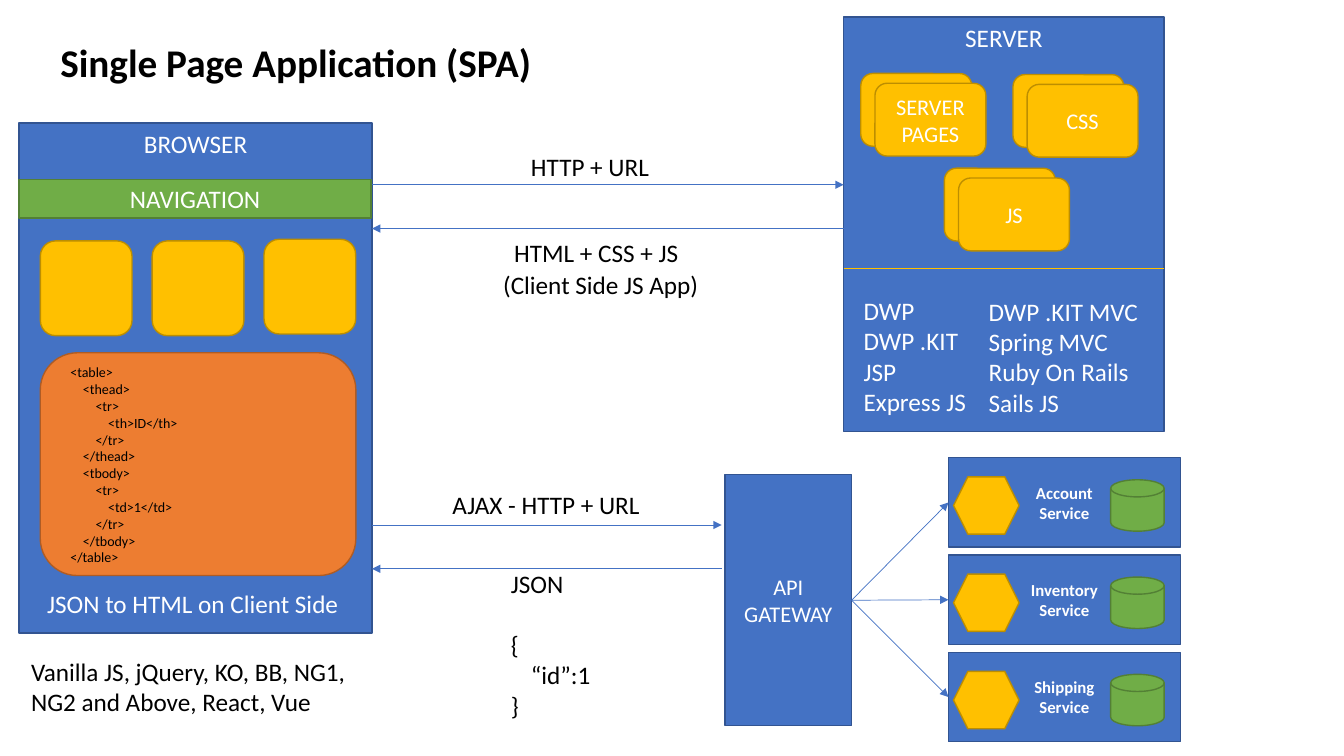
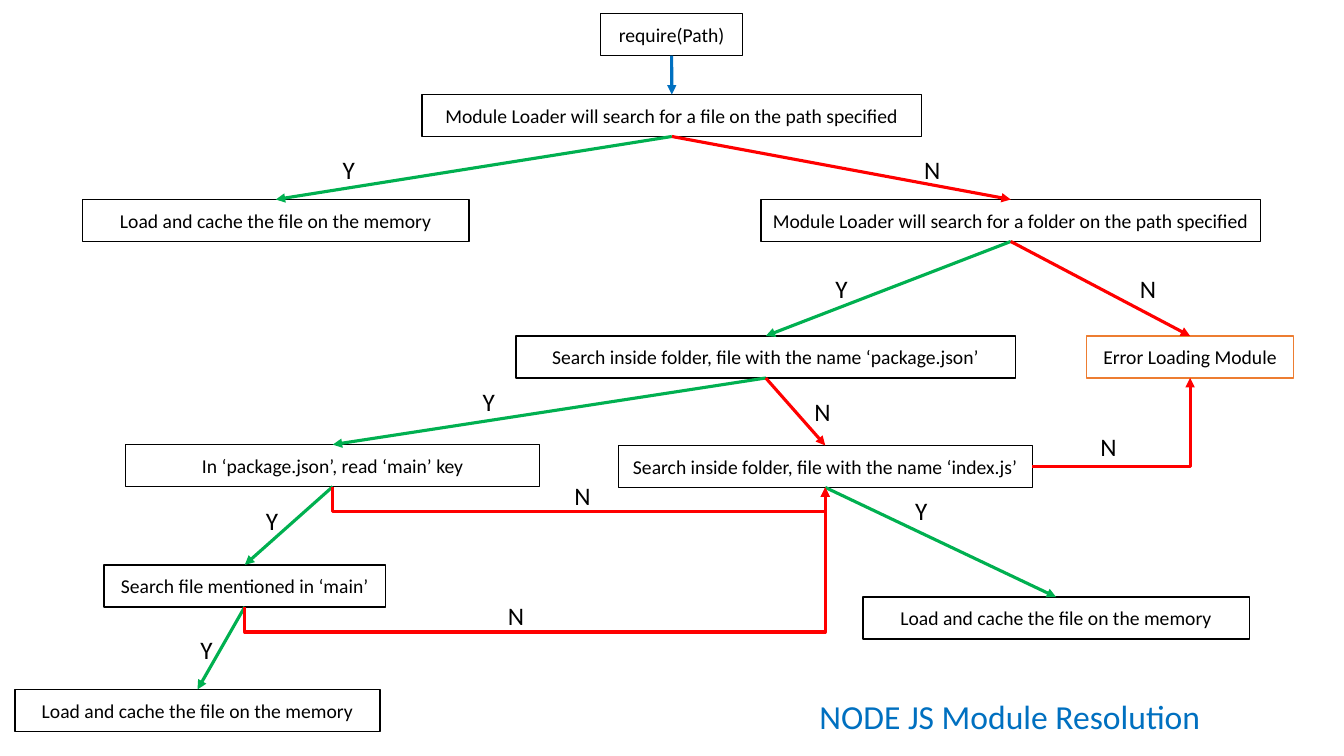
import pptx
import pptx.util
import pptx.dml.color
import pptx.enum.shapes
import pptx.enum.text
import pptx.oxml.ns
import lxml.etree

Pt = pptx.util.Pt
qn = pptx.oxml.ns.qn
RGB = pptx.dml.color.RGBColor.from_string
SHAPE = pptx.enum.shapes.MSO_SHAPE
CONNECTOR = pptx.enum.shapes.MSO_CONNECTOR
ALIGN = pptx.enum.text.PP_ALIGN
ANCHOR = pptx.enum.text.MSO_ANCHOR
FIT = pptx.enum.text.MSO_AUTO_SIZE.SHAPE_TO_FIT_TEXT
FONT = "Calibri"
COLORS = {
    "black": "000000", "white": "FFFFFF", "title": "0070C0",
    "blue": "4472C4", "blue edge": "325491",
    "gold": "FFC000", "gold edge": "BD8E00",
    "green": "70AD47", "green edge": "538035",
    "orange": "ED7D31", "orange edge": "AF5C24",
    "yes": "00B050", "no": "FF0000",
}


def put(slide, kind, box, text="", size=18, color="black", fill=None, edge=None,
        bold=False, align=None, anchor=ANCHOR.MIDDLE, wrap=True):
    lengths = [Pt(value) for value in box]
    if kind is None:
        item = slide.shapes.add_textbox(*lengths)
        item.text_frame.auto_size = FIT
    else:
        item = slide.shapes.add_shape(kind, *lengths)
        item.shadow.inherit = False
        item.fill.solid()
        item.fill.fore_color.rgb = RGB(COLORS[fill])
        item.line.color.rgb = RGB(COLORS[edge or fill + " edge"])
        item.line.width = Pt(1)
        item.text_frame.vertical_anchor = anchor
        align = ALIGN.CENTER
    item.text_frame.word_wrap = wrap
    if text:
        item.text_frame.text = text
        for paragraph in item.text_frame.paragraphs:
            paragraph.alignment = align
            paragraph.font.name = FONT
            paragraph.font.size = Pt(size)
            paragraph.font.bold = bold
            paragraph.font.color.rgb = RGB(COLORS[color])
    return item


def connect(slide, start, end, color="blue", width=0.5, head=True, kind=CONNECTOR.STRAIGHT):
    free = not isinstance(start[0], pptx.shapes.autoshape.Shape)
    ends = [Pt(value) for value in (*start, *end)] if free else [0, 0, 0, 0]
    link = slide.shapes.add_connector(kind, *ends)
    if not free:
        link.begin_connect(*start)
        link.end_connect(*end)
    link.line.color.rgb = RGB(COLORS[color])
    link.line.width = Pt(width)
    if head:
        lxml.etree.SubElement(link.line._get_or_add_ln(), qn("a:tailEnd"), type="triangle")
    lxml.etree.SubElement(link._element.spPr, qn("a:effectLst"))
    return link


deck = pptx.Presentation()
deck.slide_width, deck.slide_height = Pt(960), Pt(540)
blank = deck.slide_layouts[6]

spa = deck.slides.add_slide(blank)
put(spa, SHAPE.RECTANGLE, (602.6, 12.2, 229, 296), "SERVER",
    color="white", fill="blue", anchor=ANCHOR.TOP)
for left, top, asset in [(614.9, 52.5, "SERVER PAGES"), (723.6, 53.3, "CSS"), (674.6, 120.2, "JS")]:
    for shift_x, shift_y, label in [(0, 0, ""), (10.1, 7, asset)]:
        put(spa, SHAPE.ROUNDED_RECTANGLE, (left + shift_x, top + shift_y, 79.2, 52),
            label, 16, "white", "gold")
connect(spa, (602.6, 192), (831.6, 192), "gold", head=False)

put(spa, SHAPE.RECTANGLE, (13.7, 87.8, 252, 364.3), "BROWSER",
    color="white", fill="blue", anchor=ANCHOR.TOP)
for start, end in [((265.7, 132), (602.6, 132)), ((602.6, 163.3), (265.7, 163.3)),
                   ((265.7, 375), (515.5, 375)), ((515.5, 406.3), (265.7, 406.3))]:
    connect(spa, start, end)
put(spa, SHAPE.RECTANGLE, (13.7, 128.2, 251.3, 27.4), "NAVIGATION", color="white", fill="green")
for column, top in enumerate((172.1, 172.1, 170.9)):
    put(spa, SHAPE.ROUNDED_RECTANGLE, (28.8 + 79.9 * column, top, 65.5, 67.7), fill="gold")
put(spa, SHAPE.ROUNDED_RECTANGLE, (28.8, 252, 225.4, 159.1), fill="orange")
markup = """<table>
    <thead>
        <tr>
            <th>ID</th>
        </tr>
    </thead>
    <tbody>
        <tr>
            <td>1</td>
        </tr>
    </tbody>
</table>"""
put(spa, None, (43.2, 256.3, 175.7, 152.6), markup, 10)

for box, text, color, align in [
    ((26.6, 416.9, 225.4, 29), "JSON to HTML on Client Side", "white", None),
    ((15.1, 465.1, 241.9, 51), "Vanilla JS, jQuery, KO, BB, NG1,\nNG2 and Above, React, Vue", "black", None),
    ((372.2, 104.4, 100.1, 29), "HTTP + URL", "black", None),
    ((359.3, 165.9, 133.2, 29), "HTML + CSS + JS", "black", ALIGN.CENTER),
    ((337.7, 188.9, 182.9, 29), "(Client Side JS App)", "black", ALIGN.CENTER),
    ((316.1, 345.6, 149.8, 29), "AJAX - HTTP + URL", "black", None),
    ((609.8, 207.4, 88.6, 94.3), "DWP\nDWP .KIT\nJSP\nExpress JS", "white", None),
    ((699.1, 208.1, 128.2, 94.3), "DWP .KIT MVC\nSpring MVC\nRuby On Rails\nSails JS", "white", None),
]:
    put(spa, None, box, text, color=color, align=align, wrap=False)
payload = put(spa, None, (357.8, 402.5, 72, 116.6), "JSON\n{\n“id”:1\n}", wrap=False)
payload.text_frame.paragraphs[1].space_before = Pt(22)
payload.text_frame.paragraphs[2]._p.get_or_add_pPr().set("marL", str(Pt(14.4)))
put(spa, None, (36, 23.8, 366.5, 41), "Single Page Application (SPA)", 28, bold=True, wrap=False)

gateway = put(spa, SHAPE.RECTANGLE, (517.9, 339.1, 90.4, 179.3), "API GATEWAY", 16, "white", "blue")
for row, name in enumerate(("Account", "Inventory", "Shipping")):
    top = 326.9 + 69.5 * row
    service = put(spa, SHAPE.RECTANGLE, (677.5, top, 165.6, 64), name + "\nService",
                  12, "white", "blue", bold=True)
    put(spa, SHAPE.HEXAGON, (681.1, top + 13.7, 46.8, 41), fill="gold")
    put(spa, SHAPE.FLOWCHART_MAGNETIC_DISK, (793.4, top + 15.8, 38.2, 36.7), fill="green")
    connect(spa, (gateway, 3), (service, 1))

resolution = deck.slides.add_slide(blank)
cached = "Load and cache the file on the memory"
steps = {}
for key, left, top, width, text in [
    ("require", 429, 9.8, 101.5, "require(Path)"),
    ("file", 301.4, 67.5, 357, "Module Loader will search for a file on the path specified"),
    ("file cached", 59, 142.5, 276, cached),
    ("folder", 543.5, 142.5, 357, "Module Loader will search for a folder on the path specified"),
    ("error", 776.2, 240, 147.8, "Error Loading Module"),
    ("package", 368.5, 240, 357, "Search inside folder, file with the name ‘package.json’"),
    ("index", 441.6, 318.2, 295.8, "Search inside folder, file with the name ‘index.js’"),
    ("index cached", 616.4, 426.5, 276, cached),
    ("main key", 89.8, 317.6, 295.8, "In ‘package.json’, read ‘main’ key"),
    ("main file", 74.4, 403.5, 200.9, "Search file mentioned in ‘main’"),
    ("main cached", 10.8, 492.5, 260.6, cached),
]:
    steps[key] = put(resolution, SHAPE.RECTANGLE, (left, top, width, 30), text, 14, fill="white",
                     edge="orange" if key == "error" else "black")

connect(resolution, (steps["require"], 2), (steps["file"], 0), "title", 2.25)
for source, target, answer, left, top in [
    ("file", "file cached", "Y", 237.6, 106.6), ("file", "folder", "N", 653, 106.6),
    ("folder", "package", "Y", 589.7, 191.5), ("folder", "error", "N", 807.1, 191.5),
    ("package", "main key", "Y", 337.7, 272.2), ("package", "index", "N", 574.6, 279.4),
    ("index", "index cached", "Y", 646.6, 350.6), ("index", "error", "N", 779, 304.6),
    ("main key", "main file", "Y", 182.9, 357.1), ("main key", "index", "N", 403.2, 339.8),
    ("main file", "main cached", "Y", 136.1, 449.3), ("main file", "index", "N", 355.7, 425.5),
]:
    yes = answer == "Y"
    sideways = (source, target) == ("index", "error")
    looping = source.startswith("main") and target == "index"
    link = connect(resolution, (steps[source], 3 if sideways else 2),
                   (steps[target], 2 if sideways or looping else 0), "yes" if yes else "no", 2.25,
                   kind=CONNECTOR.ELBOW if sideways or looping else CONNECTOR.STRAIGHT)
    geometry = link._element.spPr.find(qn("a:prstGeom"))
    if sideways:
        geometry.set("prst", "bentConnector2")
    if looping:
        across, down = link.end_x - link.begin_x, link.end_y - link.begin_y
        middle_x, middle_y = (link.begin_x + link.end_x) // 2, (link.begin_y + link.end_y) // 2
        link.width, link.height = abs(down), across
        link.left, link.top = middle_x - abs(down) // 2, middle_y - across // 2
        frame = link._element.spPr.find(qn("a:xfrm"))
        frame.set("rot", "16200000" if down > 0 else "5400000")
        frame.set("flipH", "1")
        frame.set("flipV", "0" if down > 0 else "1")
        lxml.etree.SubElement(geometry.find(qn("a:avLst")), qn("a:gd"), name="adj1",
                              fmla=f"val {round(Pt(18) / down * 100000)}")
    put(resolution, None, (left, top, 23 if yes else 25.9, 29), answer, wrap=False)
put(resolution, None, (578.2, 493.2, 289.4, 36), "NODE JS Module Resolution", 24,
    color="title", wrap=False)

deck.save("out.pptx")
